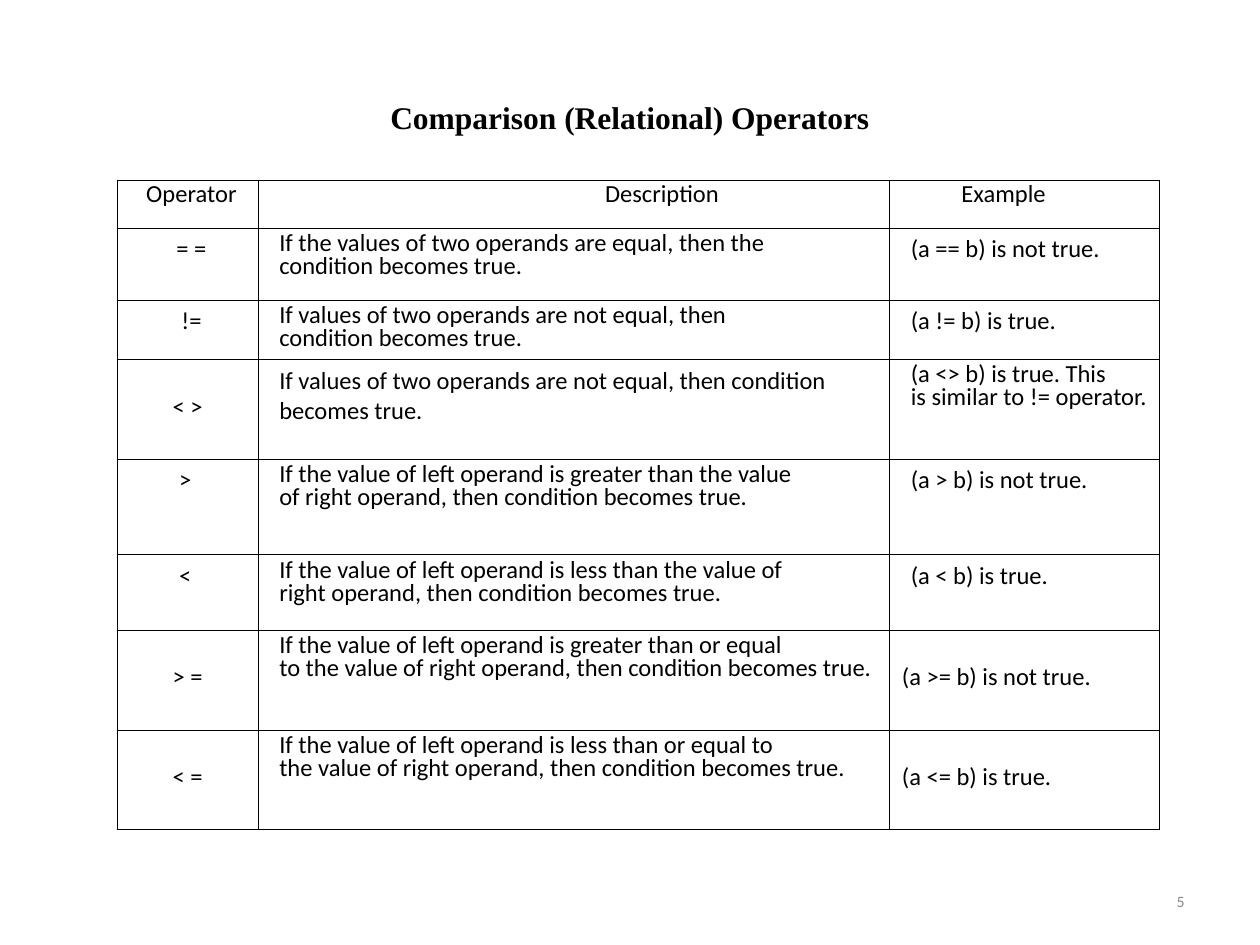
from dataclasses import dataclass

import lxml.etree
import pptx
import pptx.dml.color
import pptx.enum.text
import pptx.oxml.ns
import pptx.presentation
import pptx.slide
import pptx.table
import pptx.text.text
import pptx.util

Cm = pptx.util.Cm
Pt = pptx.util.Pt
ALIGN = pptx.enum.text.PP_ALIGN
COLORS = {"text": "000000", "border": "000000", "page": "898989"}

SIDE_MARGIN = 0.25
INDENT = 0.43
TOP_MARGIN = 0.13
LOWERED_TOP = 0.65
HEADER_SPACING = 12.7
TIGHT_SPACING = 13.3
SPACE_BEFORE = 6.5


@dataclass
class Entry:
    """Content and layout of one table cell; margins in cm, spacing in points."""
    text: str
    align: ALIGN = ALIGN.LEFT
    left: float = INDENT
    right: float = SIDE_MARGIN
    top: float = TOP_MARGIN
    spacing: float | None = None
    before: float = 0


@dataclass
class Row:
    height: float
    entries: tuple[Entry, Entry, Entry]


def symbol(text: str, left: float = 0.41, right: float = SIDE_MARGIN) -> Entry:
    return Entry(text, ALIGN.CENTER, left, right, before=SPACE_BEFORE)


def lowered(text: str, align: ALIGN = ALIGN.LEFT) -> Entry:
    return Entry(text, align, left=SIDE_MARGIN, top=LOWERED_TOP)


def tight(text: str) -> Entry:
    return Entry(text, spacing=TIGHT_SPACING)


def spaced(text: str) -> Entry:
    return Entry(text, before=SPACE_BEFORE)


COLUMN_WIDTHS = (2.84, 12.73, 5.44)
ROWS = [
    Row(0.97, (
        Entry("Operator", ALIGN.CENTER, left=0.41, spacing=HEADER_SPACING),
        Entry("Description", ALIGN.CENTER, left=3.81, spacing=HEADER_SPACING),
        Entry("Example", left=1.45, spacing=HEADER_SPACING))),
    Row(1.45, (
        symbol("= ="),
        tight("If the values of two operands are equal, then the\n"
              "condition becomes true."),
        spaced("(a == b) is not true."))),
    Row(1.02, (
        symbol("!="),
        tight("If values of two operands are not equal, then\n"
              "condition becomes true."),
        spaced("(a != b) is true."))),
    Row(2.01, (
        lowered("< >", ALIGN.CENTER),
        spaced("If values of two operands are not equal, then condition "
               "becomes true."),
        tight("(a <> b) is true. This\nis similar to != operator."))),
    Row(1.93, (
        symbol(">", left=SIDE_MARGIN, right=0.34),
        tight("If the value of left operand is greater than the value\n"
              "of right operand, then condition becomes true."),
        spaced("(a > b) is not true."))),
    Row(1.52, (
        symbol("<", left=SIDE_MARGIN, right=0.34),
        tight("If the value of left operand is less than the value of\n"
              "right operand, then condition becomes true."),
        spaced("(a < b) is true."))),
    Row(2.01, (
        lowered("> =", ALIGN.CENTER),
        tight("If the value of left operand is greater than or equal\n"
              "to the value of right operand, then condition becomes true."),
        lowered("(a >= b) is not true."))),
    Row(2.01, (
        lowered("< =", ALIGN.CENTER),
        tight("If the value of left operand is less than or equal to\n"
              "the value of right operand, then condition becomes true."),
        lowered("(a <= b) is true."))),
]


def format_text(frame: pptx.text.text.TextFrame, align: ALIGN, font: str,
                size: float, color: str, bold: bool = False) -> None:
    for paragraph in frame.paragraphs:
        paragraph.alignment = align
        for run in paragraph.runs:
            run.font.name = font
            run.font.size = Pt(size)
            run.font.bold = bold
            run.font.color.rgb = pptx.dml.color.RGBColor.from_string(COLORS[color])


def add_label(slide: pptx.slide.Slide, text: str,
              box: tuple[float, float, float, float], align: ALIGN, font: str,
              size: float, color: str, bold: bool = False) -> None:
    frame = slide.shapes.add_textbox(*map(Cm, box)).text_frame
    frame.word_wrap = True
    frame.vertical_anchor = pptx.enum.text.MSO_ANCHOR.MIDDLE
    frame.text = text
    format_text(frame, align, font, size, color, bold)


def add_borders(cell: pptx.table._Cell) -> None:
    qn = pptx.oxml.ns.qn
    properties = cell._tc.get_or_add_tcPr()
    for side in ("a:lnL", "a:lnR", "a:lnT", "a:lnB"):
        line = lxml.etree.SubElement(properties, qn(side), w=str(Pt(0.45)))
        fill = lxml.etree.SubElement(line, qn("a:solidFill"))
        lxml.etree.SubElement(fill, qn("a:srgbClr"), val=COLORS["border"])


def fill_cell(cell: pptx.table._Cell, entry: Entry) -> None:
    add_borders(cell)
    cell.fill.background()
    cell.margin_left = Cm(entry.left)
    cell.margin_right = Cm(entry.right)
    cell.margin_top = Cm(entry.top)
    cell.text_frame.text = entry.text
    format_text(cell.text_frame, entry.align, "Calibri", 14, "text")
    for paragraph in cell.text_frame.paragraphs:
        paragraph.space_before = Pt(entry.before)
        if entry.spacing:
            paragraph.line_spacing = Pt(entry.spacing)


def add_operator_table(slide: pptx.slide.Slide) -> None:
    table = slide.shapes.add_table(
        len(ROWS), len(COLUMN_WIDTHS), Cm(2.36), Cm(3.63),
        Cm(sum(COLUMN_WIDTHS)), Cm(sum(row.height for row in ROWS))).table
    table.first_row = False
    table.horz_banding = False
    for column, width in zip(table.columns, COLUMN_WIDTHS):
        column.width = Cm(width)
    for table_row, row in zip(table.rows, ROWS):
        table_row.height = Cm(row.height)
        for cell, entry in zip(table_row.cells, row.entries):
            fill_cell(cell, entry)


def main() -> None:
    deck = pptx.Presentation()
    deck.slide_width, deck.slide_height = Cm(25.4), Cm(19.05)
    slide = deck.slides.add_slide(deck.slide_layouts[6])

    # Title
    add_label(slide, "Comparison (Relational) Operators",
              (1.27, 0.76, 22.86, 3.18), ALIGN.CENTER,
              "Times New Roman", 18, "text", bold=True)
    # Operators with description and example
    add_operator_table(slide)
    # Page number
    add_label(slide, "5", (18.21, 17.65, 5.92, 1.02), ALIGN.RIGHT,
              "Calibri", 9, "page")

    deck.save("out.pptx")


if __name__ == "__main__":
    main()
